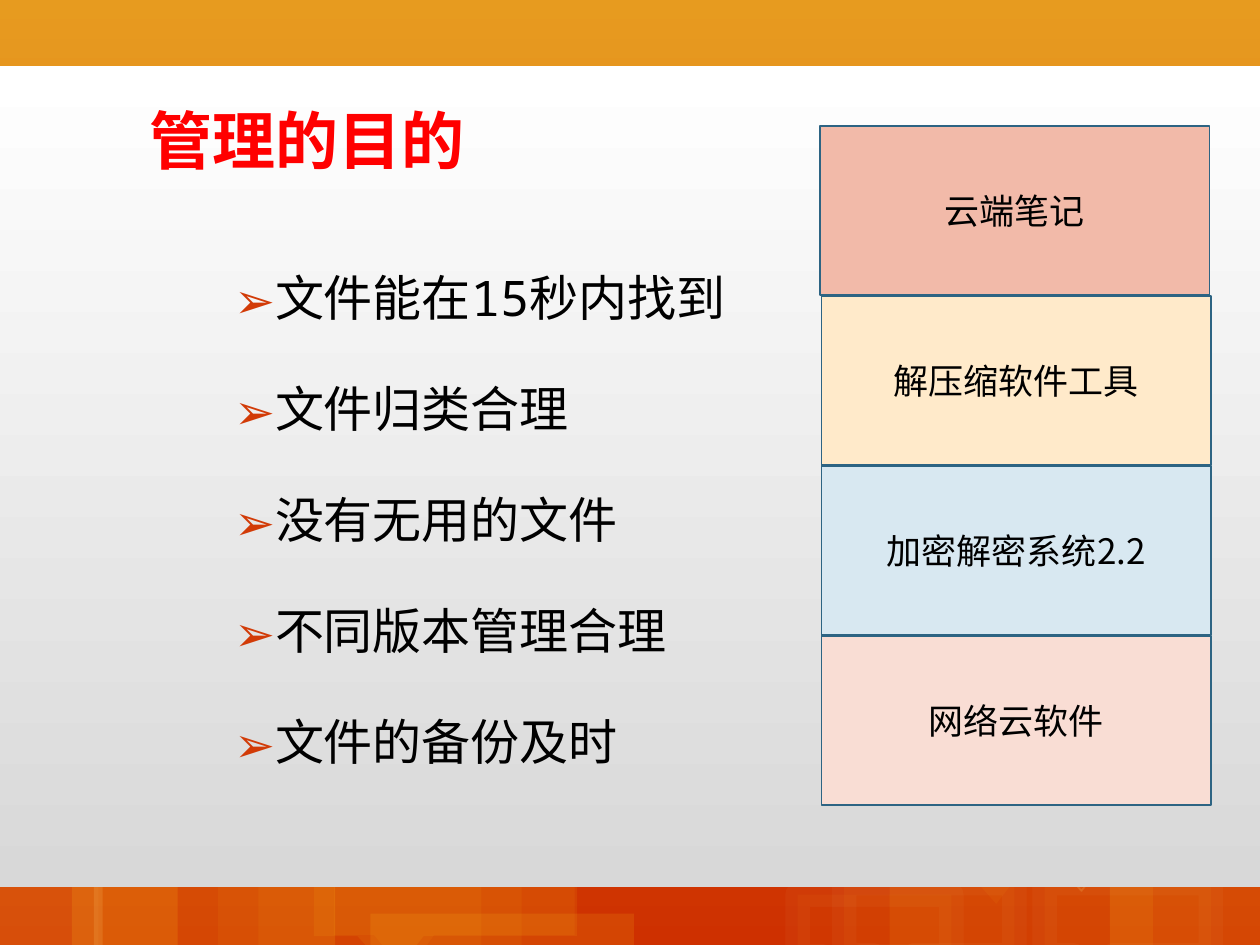
import pptx
import pptx.util
import pptx.dml.color
import pptx.enum.shapes
import pptx.enum.text
import pptx.oxml
import pptx.oxml.ns

Inches = pptx.util.Inches
Pt = pptx.util.Pt
RGB = pptx.dml.color.RGBColor.from_string
qn = pptx.oxml.ns.qn
MSO = pptx.enum.shapes.MSO_SHAPE
ALIGN = pptx.enum.text.PP_ALIGN
ANCHOR = pptx.enum.text.MSO_ANCHOR
SANS = "Noto Sans CJK SC"
COLORS = {
    "orange": "E29121", "red": "CE3000", "gold": "FDC51B",
    "cream": "FEEAAC", "yellow": "FFE181", "white": "FFFFFF",
    "gray": "D8D8D8", "title": "FF0000", "black": "000000",
    "bullet": "D23B07", "border": "2D6483", "salmon": "F2BAA9",
    "sand": "FFEACA", "sky": "D8E8F1", "blush": "F9DDD4",
}


def add_text(p, text, size=20, font=SANS, color="black", bold=False,
             align=ALIGN.LEFT, margin=0, indent=0, bullet=None):
    pPr = p._p.get_or_add_pPr()
    pPr.set("marL", str(Inches(margin)))
    pPr.set("indent", str(Inches(indent)))
    p.alignment = align
    if bullet:
        clr = pptx.oxml.ns.nsdecls("a")
        pPr.append(pptx.oxml.parse_xml(
            f'<a:buClr {clr}><a:srgbClr val="{COLORS["bullet"]}"/></a:buClr>'))
        pPr.append(pptx.oxml.parse_xml(f'<a:buFont {clr} typeface="{SANS}"/>'))
        pPr.append(pptx.oxml.parse_xml(f'<a:buChar {clr} char="{bullet}"/>'))
    r = p.add_run()
    r.text = text
    r.font.size = Pt(size)
    r.font.bold = bold
    r.font.name = font
    r.font.color.rgb = RGB(COLORS[color])
    ea = r._r.get_or_add_rPr().makeelement(qn("a:ea"), {"typeface": SANS})
    r._r.rPr.find(qn("a:latin")).addnext(ea)


def set_gradient(fill, top, bottom):
    fill.gradient()
    fill.gradient_angle = 270
    for stop, color, position in zip(fill.gradient_stops, (top, bottom), (0, 1)):
        stop.color.rgb = RGB(COLORS[color])
        stop.position = position


prs = pptx.Presentation()
prs.slide_width = Inches(10)
prs.slide_height = Inches(7.5)
s = prs.slides.add_slide(prs.slide_layouts[5])
set_gradient(s.background.fill, "orange", "red")

callouts = [
    (2.65, 5.33, 1.91, 2.09, "gold", 7, None),
    (2.49, 5.34, 2.09, 2.09, "gold", 10, None),
    (0.57, 6.27, 2.09, 1.31, "gold", 16, None),
    (-0.04, -0.05, 10.04, 2.09, "gold", 20, None),
    (2.94, 7.25, 2.09, 2.09, "gold", 14, None),
    (8.81, 5.62, 1.24, 1.92, "gold", 16, None),
    (7.28, 4.77, 2.09, 2.09, "gold", 5, None),
    (-0.07, 5.41, 1.48, 2.09, "gold", 16, None),
    (2.05, 6.92, 2.09, 2.09, "gold", 7, None),
    (7.06, 5.62, 2.09, 2.09, "gold", 10, None),
    (6.33, 7.1, 1.22, 0.49, "gold", 5, ("cream", 14, 3)),
    (6.7, 7.01, 1.35, 0.57, "gold", 5, ("cream", 14, 3)),
    (8.29, 7.01, 1.32, 0.57, "gold", 5, ("cream", 14, 3)),
    (-0.07, 6.75, 0.85, 0.82, "yellow", 5, ("yellow", 5, 14)),
    (8.34, 6.14, 0.81, 0.81, "yellow", 5, ("yellow", 1, 14)),
    (1.73, 5.97, 2.09, 1.61, "gold", 7, None),
]
for x, y, w, h, color, alpha, line in callouts:
    sp = s.shapes.add_shape(MSO.RECTANGULAR_CALLOUT, Inches(x), Inches(y), Inches(w), Inches(h))
    sp.shadow.inherit = False
    sp.adjustments[0] = -0.2
    sp.adjustments[1] = 0.65
    sp.fill.solid()
    sp.fill.fore_color.rgb = RGB(COLORS[color])
    alphas = [alpha]
    if line:
        line_color, line_width, line_alpha = line
        sp.line.color.rgb = RGB(COLORS[line_color])
        sp.line.width = Pt(line_width)
        alphas.append(line_alpha)
    else:
        sp.line.fill.background()
    for clr, value in zip(sp._element.spPr.iter(qn("a:srgbClr")), alphas):
        clr.append(clr.makeelement(qn("a:alpha"), {"val": str(value * 1000)}))

panel = s.shapes.add_shape(MSO.RECTANGLE, 0, Inches(0.52), Inches(10), Inches(6.52))
panel.shadow.inherit = False
panel.line.fill.background()
set_gradient(panel.fill, "white", "gray")

title = s.shapes.title
s.shapes.element.append(title.element)
title.left, title.top = Inches(1.09), Inches(0.05)
title.width, title.height = Inches(7.79), Inches(1.41)
tf = title.text_frame
tf.vertical_anchor = ANCHOR.BOTTOM
add_text(tf.paragraphs[0], "管理的目的", size=36, color="title", bold=True,
         margin=0.5, indent=-0.5)

goals = ["文件能在15秒内找到", "文件归类合理", "没有无用的文件", "不同版本管理合理", "文件的备份及时"]
tf = s.shapes.add_textbox(Inches(1.14), Inches(1.84), Inches(6.78), Inches(4.23)).text_frame
tf.word_wrap = True
for i, goal in enumerate(goals):
    p = tf.add_paragraph() if i else tf.paragraphs[0]
    p.line_spacing = 1.5
    p.space_before = Pt(7 if i else 0)
    p.space_after = Pt(6)
    add_text(p, goal, size=28, font="Noto Sans Mono", margin=0.31, indent=0.31, bullet="➢")

tools = [("云端笔记", "salmon", 6.51), ("解压缩软件工具", "sand", 6.52),
         ("加密解密系统2.2", "sky", 6.52), ("网络云软件", "blush", 6.52)]
for i, (tool, color, left) in enumerate(tools):
    sp = s.shapes.add_shape(MSO.RECTANGLE, Inches(left), Inches(1 + 1.35 * i),
                            Inches(3.09), Inches(1.34))
    sp.shadow.inherit = False
    sp.fill.solid()
    sp.fill.fore_color.rgb = RGB(COLORS[color])
    sp.line.color.rgb = RGB(COLORS["border"])
    sp.line.width = Pt(1)
    tf = sp.text_frame
    tf.word_wrap = True
    tf.vertical_anchor = ANCHOR.MIDDLE
    add_text(tf.paragraphs[0], tool, align=ALIGN.CENTER)

prs.save("out.pptx")
